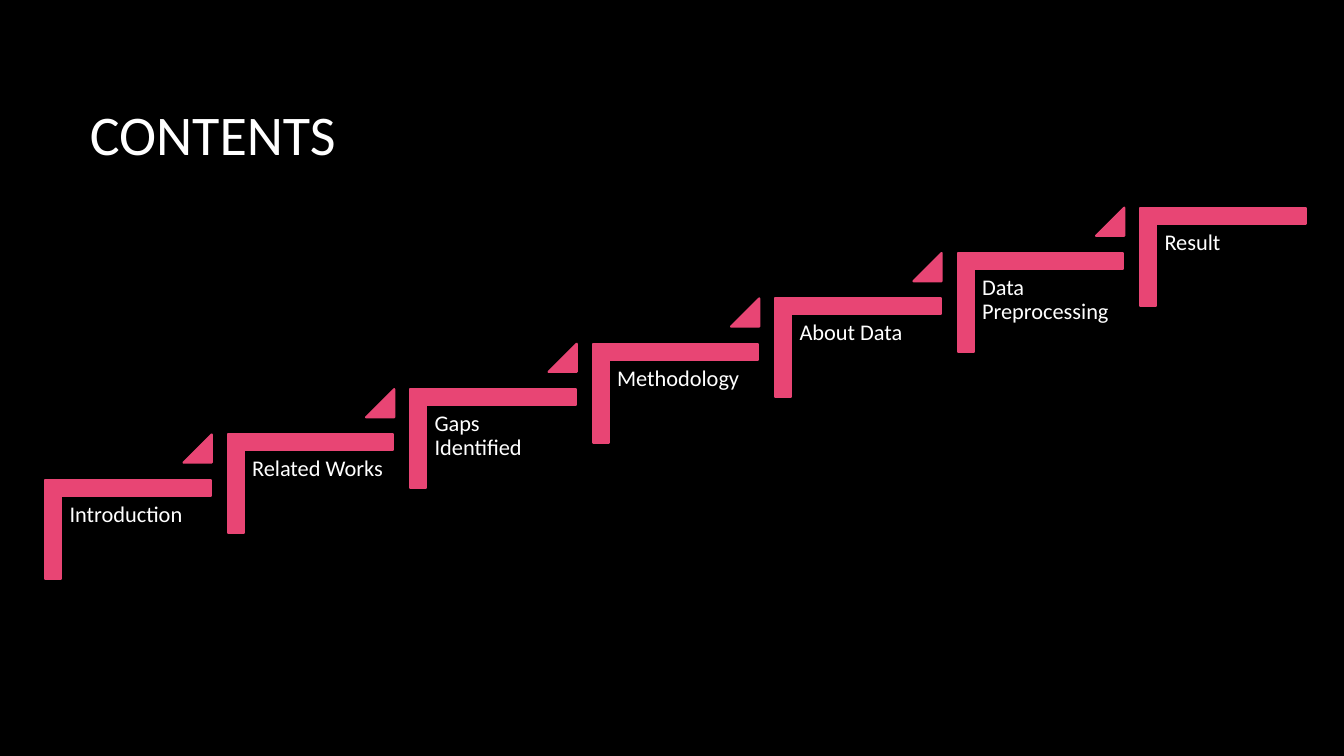
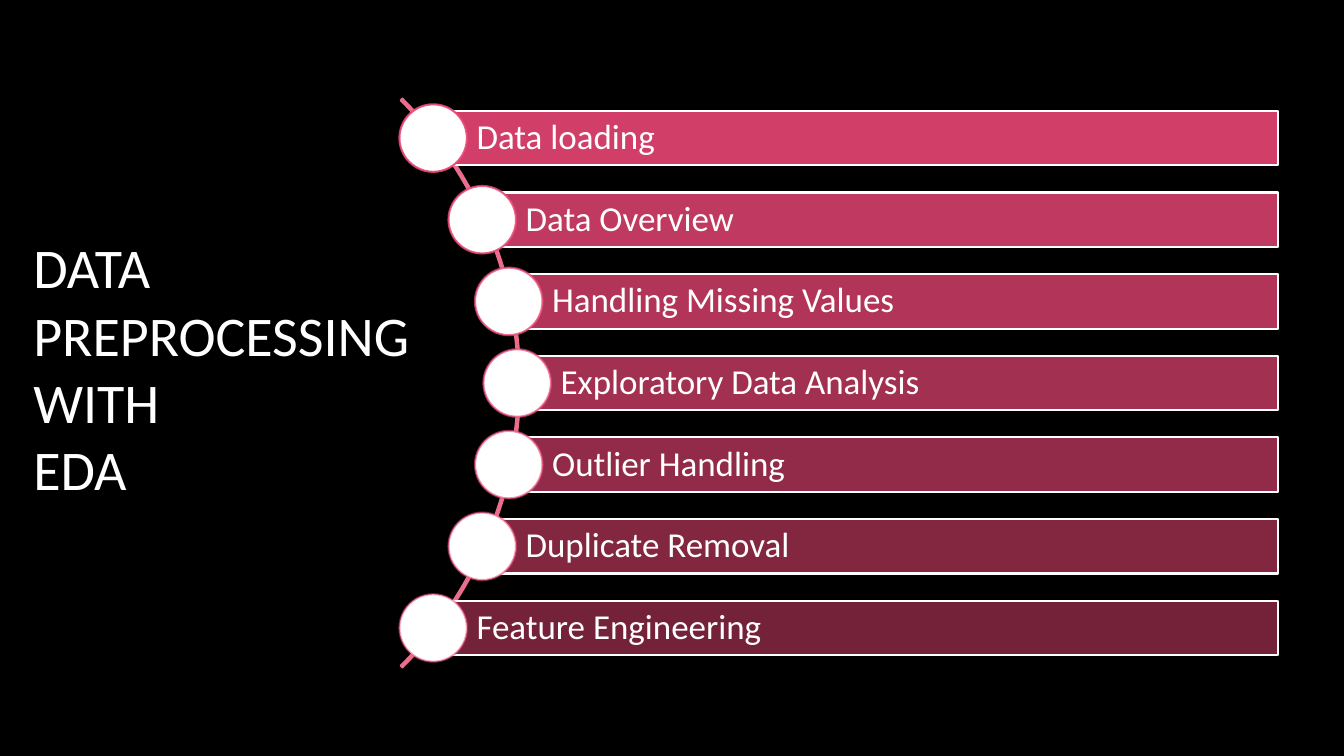
from dataclasses import dataclass
from math import sqrt

from lxml.etree import SubElement
from pptx import Presentation
from pptx.dml.color import RGBColor
from pptx.dml.fill import FillFormat
from pptx.enum.shapes import MSO_SHAPE as Preset
from pptx.enum.text import MSO_ANCHOR as Anchor, MSO_AUTO_SIZE as AutoSize, PP_ALIGN as Align
from pptx.oxml.ns import qn
from pptx.util import Inches, Pt

FONT = "Calibri"
BLACK, WHITE, PINK, ROSE = "000000", "FFFFFF", "E84574", "EA6E8B"
LINE_WIDTH = 1.5
TITLE_ONLY = 5

STEPS = ["Introduction", "Related Works", "Gaps Identified", "Methodology",
         "About Data", "Data Preprocessing", "Result"]
STEP_ACROSS, STEP_UP = 1.81, 0.45

TASKS = ["Data loading", "Data Overview", "Handling Missing Values",
         "Exploratory Data Analysis", "Outlier Handling",
         "Duplicate Removal", "Feature Engineering"]
ARC_X, ARC_Y, ARC_SIZE = 1.17, 3.8, 7.98
BAR_RADIUS, BAR_RIGHT, BAR_HEIGHT, BAR_PITCH = 3.96, 12.68, 0.54, 0.81
DOT_SIZE = 0.67


@dataclass(frozen=True)
class Area:
    left: float
    top: float
    width: float
    height: float

    def lengths(self) -> tuple:
        return tuple(Inches(n) for n in (self.left, self.top, self.width, self.height))


def paint(fill: FillFormat, color: str, opacity: float = 100) -> None:
    """Fill solidly; opacity is a percentage."""
    fill.solid()
    fill.fore_color.rgb = RGBColor.from_string(color)
    if opacity < 100:
        tint = fill._xPr.find(qn("a:solidFill")).find(qn("a:srgbClr"))
        SubElement(tint, qn("a:alpha")).set("val", str(round(opacity * 1000)))


def add_preset(slide, preset, area: Area, fill: str | None, line: str,
               adjustments=(), fill_opacity: float = 100, line_opacity: float = 100):
    shape = slide.shapes.add_shape(preset, *area.lengths())
    shape.shadow.inherit = False
    for index, value in enumerate(adjustments):
        shape.adjustments[index] = value
    if fill:
        paint(shape.fill, fill, fill_opacity)
    else:
        shape.fill.background()
    paint(shape.line.fill, line, line_opacity)
    shape.line.width = Pt(LINE_WIDTH)
    return shape


def write(frame, lines: list[str], size: float, line_spacing: float = 0.9) -> None:
    """Fill a text frame with left-aligned white paragraphs."""
    frame.word_wrap = True
    frame.auto_size = AutoSize.NONE
    frame.text = "\n".join(lines)
    for para in frame.paragraphs:
        para.alignment = Align.LEFT
        para.line_spacing = line_spacing
        para.font.name = FONT
        para.font.size = Pt(size)
        para.font.color.rgb = RGBColor.from_string(WHITE)


def set_margins(frame, left: float, others: float) -> None:
    frame.margin_left = Inches(left)
    frame.margin_top = frame.margin_right = frame.margin_bottom = Inches(others)


def add_titled_slide(deck, lines: list[str], area: Area):
    slide = deck.slides.add_slide(deck.slide_layouts[TITLE_ONLY])
    title = slide.shapes.title
    title.left, title.top, title.width, title.height = area.lengths()
    title.text_frame.vertical_anchor = Anchor.TOP
    write(title.text_frame, lines, 40, 1.0)
    return slide


def add_step(slide, label: str, left: float, top: float, is_last: bool) -> None:
    """Draw one stair; left and top place its corner before rotation."""
    corner = add_preset(slide, Preset.CORNER, Area(left, top, 0.98, 1.64),
                        PINK, PINK, (0.161, 0.161))
    corner.rotation = 90
    box = slide.shapes.add_textbox(*Area(left - 0.16, top + 0.49, 1.48, 1.3).lengths())
    write(box.text_frame, [label], 16)
    set_margins(box.text_frame, 0.07, 0.07)
    if not is_last:
        add_preset(slide, Preset.ISOSCELES_TRIANGLE,
                   Area(left + 1.04, top - 0.12, 0.28, 0.28), PINK, PINK, (1,))


def add_task(slide, label: str, rise: float, opacity: float) -> None:
    """Draw a bar and its dot on the arc, rise inches below the arc's centre."""
    left = ARC_X + sqrt(BAR_RADIUS ** 2 - rise ** 2)
    middle = ARC_Y + rise
    bar = add_preset(slide, Preset.RECTANGLE,
                     Area(left, middle - BAR_HEIGHT / 2, BAR_RIGHT - left, BAR_HEIGHT),
                     PINK, WHITE, fill_opacity=opacity)
    write(bar.text_frame, [label], 25)
    set_margins(bar.text_frame, 0.43, 0.07)
    bar.text_frame.vertical_anchor = Anchor.MIDDLE
    add_preset(slide, Preset.OVAL,
               Area(left - DOT_SIZE / 2, middle - DOT_SIZE / 2, DOT_SIZE, DOT_SIZE),
               WHITE, PINK, line_opacity=opacity)


def build_contents(deck) -> None:
    slide = add_titled_slide(deck, ["CONTENTS"], Area(0.79, 0.94, 3.12, 0.77))
    for index, label in enumerate(STEPS):
        add_step(slide, label, 0.78 + index * STEP_ACROSS, 4.43 - index * STEP_UP,
                 index == len(STEPS) - 1)


def build_preprocessing(deck) -> None:
    slide = add_titled_slide(deck, ["DATA PREPROCESSING", "WITH", "EDA"],
                             Area(0.23, 2.26, 4.15, 2.79))
    add_preset(slide, Preset.BLOCK_ARC,
               Area(ARC_X - ARC_SIZE / 2, ARC_Y - ARC_SIZE / 2, ARC_SIZE, ARC_SIZE),
               None, ROSE, (189, 27, 0.003))
    last = len(TASKS) - 1
    for index, label in enumerate(TASKS):
        add_task(slide, label, (index - last / 2) * BAR_PITCH, 90 - 40 * index / last)


def main() -> None:
    deck = Presentation()
    deck.slide_width, deck.slide_height = Inches(13.33), Inches(7.5)
    paint(deck.slide_master.background.fill, BLACK)
    build_contents(deck)
    build_preprocessing(deck)
    deck.save("out.pptx")


if __name__ == "__main__":
    main()
